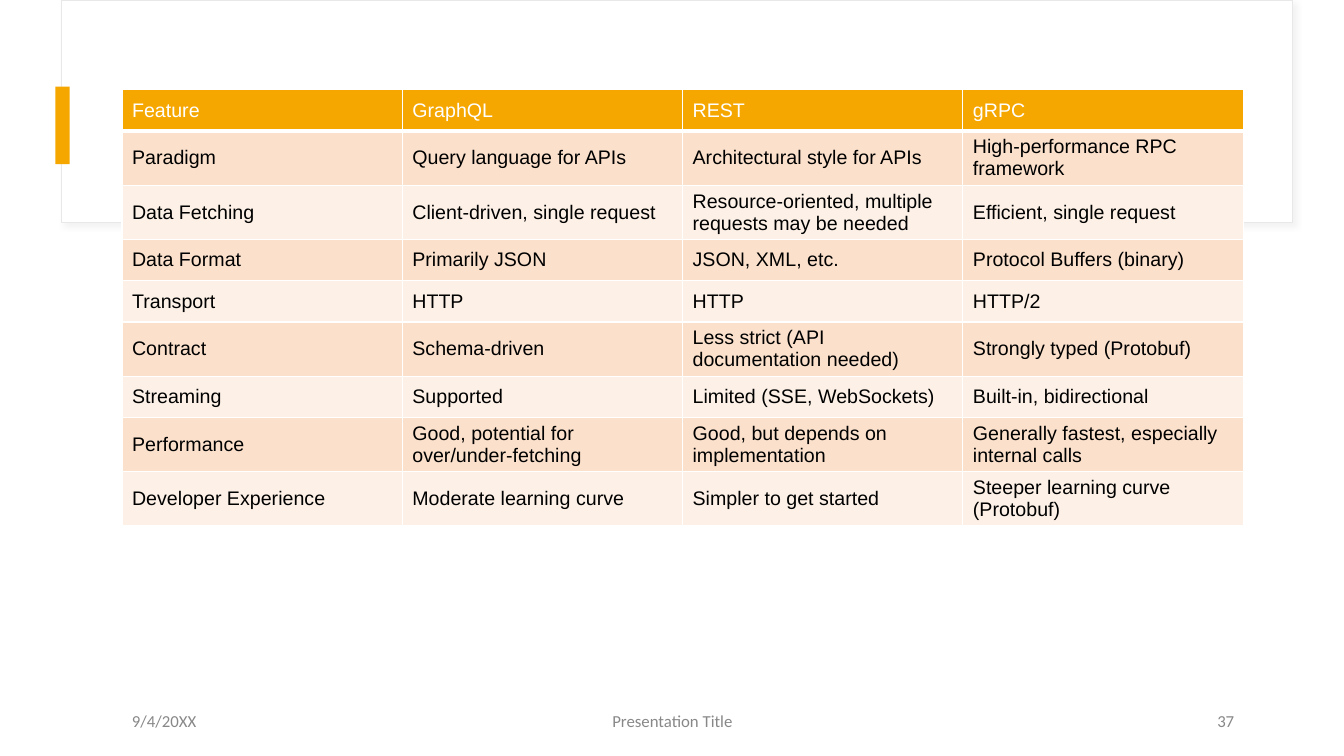
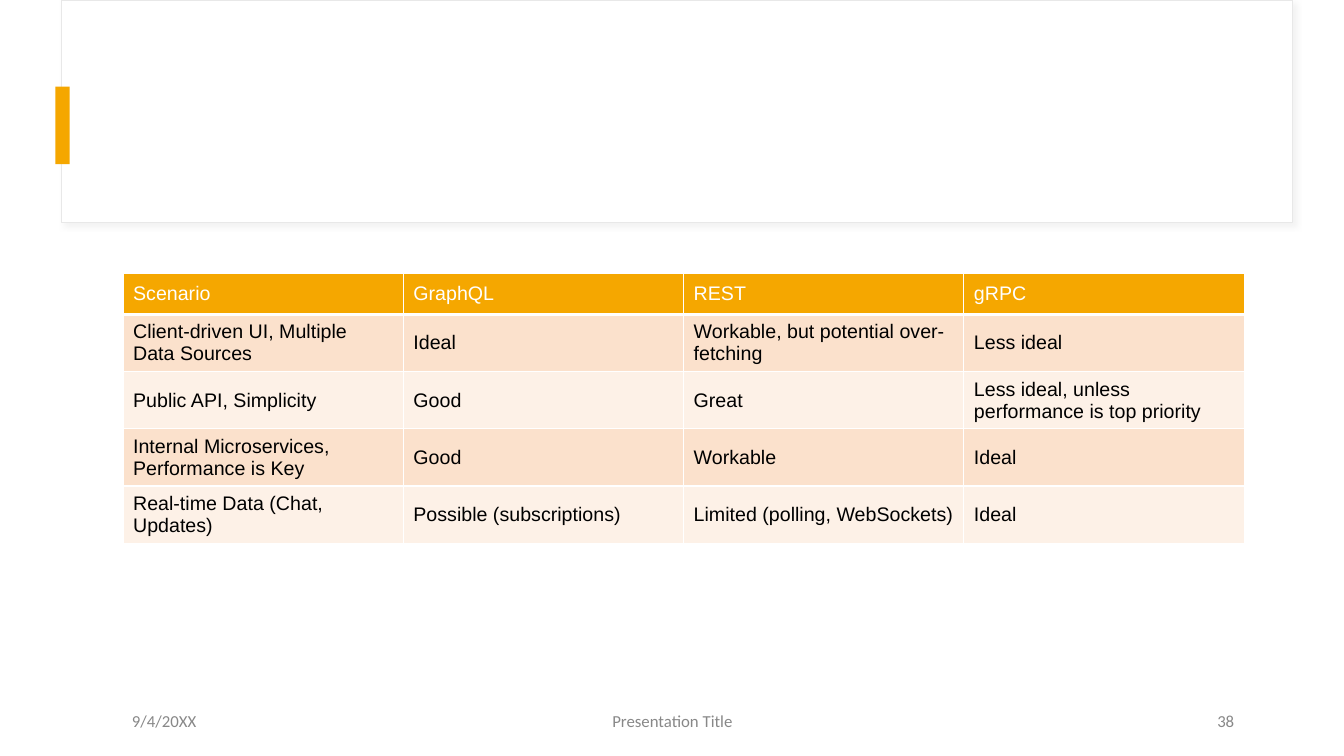
from dataclasses import dataclass

from lxml import etree
from pptx import Presentation
from pptx.dml.color import RGBColor
from pptx.enum import shapes, text
from pptx.oxml import ns
from pptx.util import Inches, Pt

WHITE = RGBColor(0xFF, 0xFF, 0xFF)
BLACK = RGBColor(0x00, 0x00, 0x00)
ORANGE = RGBColor(0xF5, 0xA7, 0x00)
PEACH = RGBColor(0xFB, 0xE1, 0xCC)
CREAM = RGBColor(0xFD, 0xF1, 0xE7)
GRAY = RGBColor(0x88, 0x88, 0x88)
CARD_LINE = RGBColor(0xE8, 0xE8, 0xE8)
CARD_SHADOW = RGBColor(0xD8, 0xD8, 0xD8)

COL_WIDTH, ROW_HEIGHT = Inches(2.78), Inches(0.41)
FOOTER_TOP, FOOTER_HEIGHT = Inches(6.95), Inches(0.4)
TABLE_FONT = {"name": "Arial", "size": Pt(14), "bold": False}
FOOTER_FONT = {"name": "Calibri", "size": Pt(12)}


@dataclass(frozen=True)
class Footer:
    left: float
    width: float
    align: text.PP_ALIGN
    text: str


@dataclass(frozen=True)
class TableSlide:
    number: int
    left: float
    top: float
    rows: list[tuple[str, ...]]


SLIDES = [
    TableSlide(37, 1.21, 0.89, [
        ("Feature", "GraphQL", "REST", "gRPC"),
        ("Paradigm", "Query language for APIs", "Architectural style for APIs",
         "High-performance RPC framework"),
        ("Data Fetching", "Client-driven, single request",
         "Resource-oriented, multiple requests may be needed", "Efficient, single request"),
        ("Data Format", "Primarily JSON", "JSON, XML, etc.", "Protocol Buffers (binary)"),
        ("Transport", "HTTP", "HTTP", "HTTP/2"),
        ("Contract", "Schema-driven", "Less strict (API documentation needed)",
         "Strongly typed (Protobuf)"),
        ("Streaming", "Supported", "Limited (SSE, WebSockets)", "Built-in, bidirectional"),
        ("Performance", "Good, potential for over/under-fetching",
         "Good, but depends on implementation", "Generally fastest, especially internal calls"),
        ("Developer Experience", "Moderate learning curve", "Simpler to get started",
         "Steeper learning curve (Protobuf)"),
    ]),
    TableSlide(38, 1.22, 2.71, [
        ("Scenario", "GraphQL", "REST", "gRPC"),
        ("Client-driven UI, Multiple Data Sources", "Ideal",
         "Workable, but potential over-fetching", "Less ideal"),
        ("Public API, Simplicity", "Good", "Great",
         "Less ideal, unless performance is top priority"),
        ("Internal Microservices, Performance is Key", "Good", "Workable", "Ideal"),
        ("Real-time Data (Chat, Updates)", "Possible (subscriptions)",
         "Limited (polling, WebSockets)", "Ideal"),
    ]),
]


def write(p, content: str, font: dict, color: RGBColor) -> None:
    r = p.add_run()
    r.text = content
    for name, value in font.items():
        setattr(r.font, name, value)
    r.font.color.rgb = color


def add_rect(slide, left: float, top: float, width: float, height: float, fill: RGBColor):
    sp = slide.shapes.add_shape(shapes.MSO_SHAPE.RECTANGLE, Inches(left), Inches(top),
                                Inches(width), Inches(height))
    sp.shadow.inherit = False
    sp.fill.solid()
    sp.fill.fore_color.rgb = fill
    sp.line.fill.background()
    return sp


def add_soft_shadow(sp) -> None:
    effects = sp._element.spPr.find(ns.qn("a:effectLst"))
    shadow = etree.SubElement(effects, ns.qn("a:outerShdw"), blurRad=str(Pt(4)),
                              dist=str(Pt(3)), dir=str(45 * 60000), algn="tl",
                              rotWithShape="0")
    color = etree.SubElement(shadow, ns.qn("a:srgbClr"), val=str(CARD_SHADOW))
    etree.SubElement(color, ns.qn("a:alpha"), val="30000")


def add_title_card(slide) -> None:
    card = add_rect(slide, 0.61, 0, 12.21, 2.21, WHITE)
    card.line.color.rgb = CARD_LINE
    card.line.width = Pt(0.75)
    add_soft_shadow(card)
    add_rect(slide, 0.55, 0.86, 0.14, 0.77, ORANGE)


def add_footers(slide, number: int) -> None:
    for footer in (
        Footer(1.21, 3, text.PP_ALIGN.LEFT, "9/4/20XX"),
        Footer(4.42, 4.5, text.PP_ALIGN.CENTER, "Presentation Title"),
        Footer(9.34, 3, text.PP_ALIGN.RIGHT, str(number)),
    ):
        box = slide.shapes.add_textbox(Inches(footer.left), FOOTER_TOP,
                                       Inches(footer.width), FOOTER_HEIGHT)
        tf = box.text_frame
        tf.word_wrap = True
        tf.vertical_anchor = text.MSO_ANCHOR.MIDDLE
        p = tf.paragraphs[0]
        p.alignment = footer.align
        write(p, footer.text, FOOTER_FONT, GRAY)


def add_borders(cell, widths: dict[str, float]) -> None:
    """Draw white cell edges; they must come before the fill in the XML."""
    tc_pr = cell._tc.get_or_add_tcPr()
    for edge, width in widths.items():
        line = etree.SubElement(tc_pr, ns.qn(f"a:{edge}"), w=str(Pt(width)))
        fill = etree.SubElement(line, ns.qn("a:solidFill"))
        etree.SubElement(fill, ns.qn("a:srgbClr"), val=str(WHITE))


def add_table(slide, content: TableSlide) -> None:
    n_rows, n_cols = len(content.rows), len(content.rows[0])
    table = slide.shapes.add_table(n_rows, n_cols, Inches(content.left), Inches(content.top),
                                   COL_WIDTH * n_cols, ROW_HEIGHT * n_rows).table
    for column in table.columns:
        column.width = COL_WIDTH
    for i, values in enumerate(content.rows):
        table.rows[i].height = ROW_HEIGHT
        header = i == 0
        fill = ORANGE if header else (PEACH if i % 2 else CREAM)
        borders = {"lnL": 1, "lnR": 1, "lnT": 3 if i == 1 else 1, "lnB": 3 if header else 1}
        for j, value in enumerate(values):
            cell = table.cell(i, j)
            add_borders(cell, borders)
            cell.fill.solid()
            cell.fill.fore_color.rgb = fill
            cell.vertical_anchor = text.MSO_ANCHOR.MIDDLE
            write(cell.text_frame.paragraphs[0], value, TABLE_FONT, WHITE if header else BLACK)


def main() -> None:
    prs = Presentation()
    prs.slide_width, prs.slide_height = Inches(13.33), Inches(7.5)
    for content in SLIDES:
        slide = prs.slides.add_slide(prs.slide_layouts[6])
        add_title_card(slide)
        add_table(slide, content)
        add_footers(slide, content.number)
    prs.save("out.pptx")


if __name__ == "__main__":
    main()
